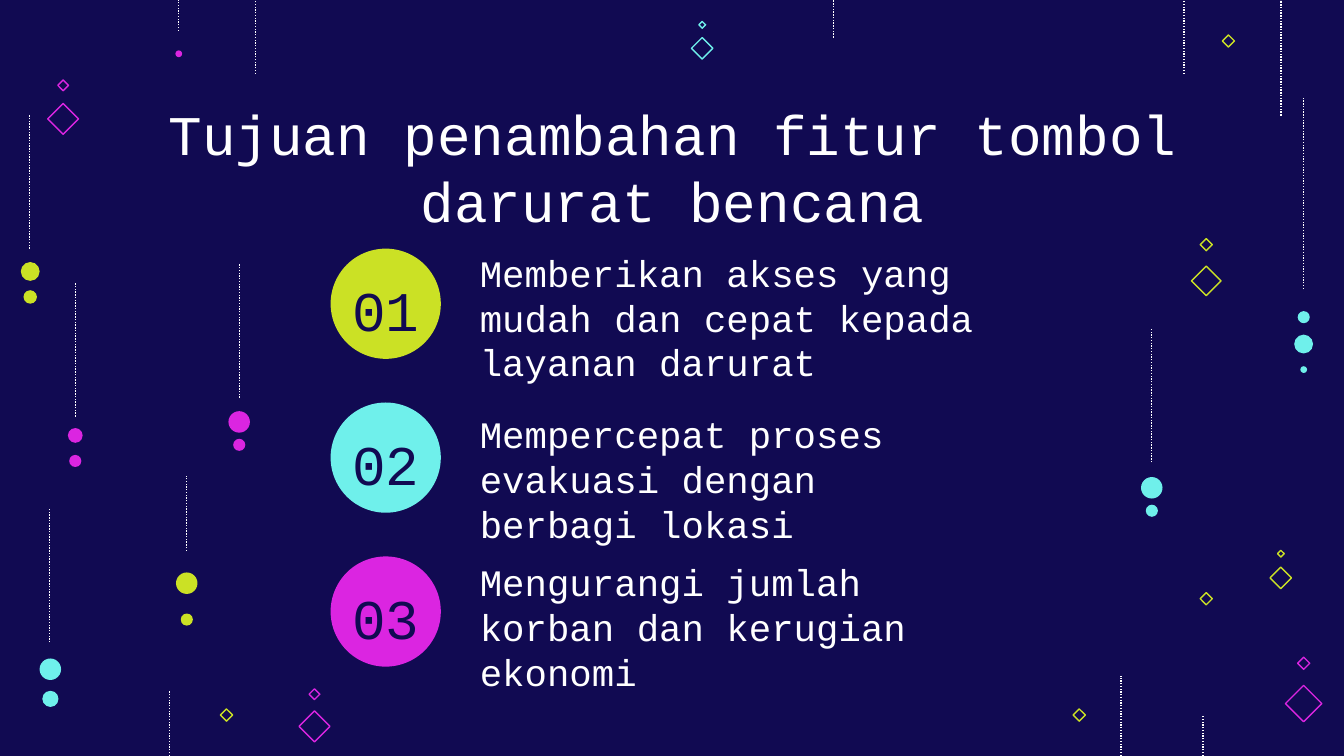
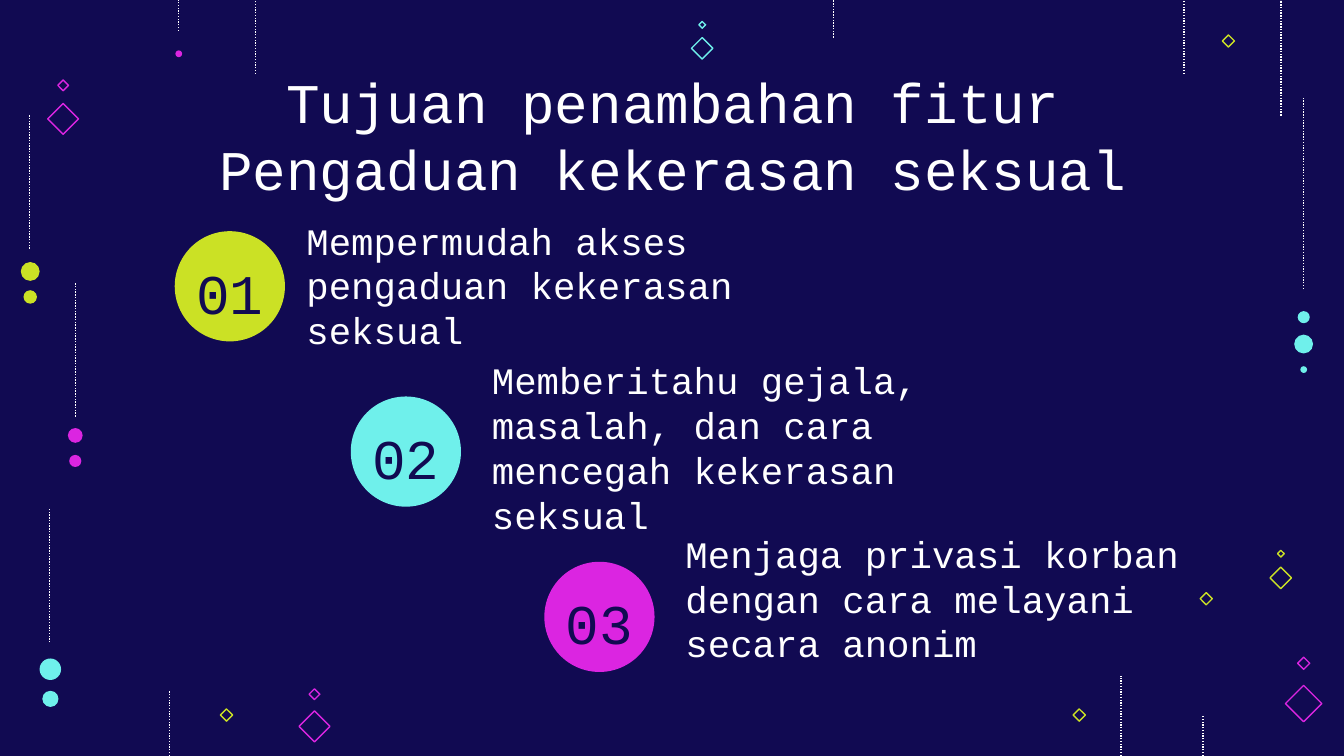
from pptx import Presentation
from pptx import util as u
from pptx.dml import color, line
from pptx.enum import dml, shapes, text
from pptx.oxml.ns import qn

NAVY, WHITE = "110A52", "FFFFFF"
LIME, CYAN, PINK = "CBE125", "6FF0EB", "DB25E1"
FACE = "Courier New"

deck = Presentation()
deck.slide_width = u.Inches(10)
deck.slide_height = u.Inches(5.625)
cell = deck.slide_width / 100
foot = deck.slide_height / cell


def hue(fill, tone):
    fill.solid()
    fill.fore_color.rgb = color.RGBColor.from_string(tone)


def draw(page, rays, dots, gems):
    for x, low, top in rays:
        ray = page.shapes.add_connector(
            shapes.MSO_CONNECTOR.STRAIGHT,
            *[round(n * cell) for n in (x, low, x, top)])
        hue(ray.line.fill, WHITE)
        ray.line.width = u.Pt(0.75)
        ray.line.dash_style = dml.MSO_LINE.ROUND_DOT
        part = ray._element.spPr
        part.append(part.makeelement(qn("a:effectLst"), {}))
    marks = [(shapes.MSO_SHAPE.OVAL, *d) for d in dots]
    marks += [(shapes.MSO_SHAPE.DIAMOND, *g) for g in gems]
    made = []
    for kind, x, y, size, tone in marks:
        mark = page.shapes.add_shape(
            kind, *[round(n * cell) for n in (x - size / 2, y - size / 2, size, size)])
        mark.shadow.inherit = False
        if kind == shapes.MSO_SHAPE.OVAL:
            hue(mark.fill, tone)
            mark.line.fill.background()
        else:
            mark.fill.background()
            hue(mark.line.fill, tone)
            mark.line.width = u.Pt(0.75)
        made.append(mark)
    return made


rays = [
    (97, 21.5, 7.2), (95.3, 8.6, 0), (13.3, 2.3, 0), (3.7, 47.8, 37.8),
    (5.6, 31, 21), (19, 5.5, 0), (2.2, 18.5, 8.5), (12.6, foot, 51.4),
    (89.5, foot, 53.3), (83.4, foot, 50.3), (88.1, 5.5, 0), (62, 2.8, 0),
]
dots = [
    (97, 23.6, 0.9, CYAN), (97, 25.6, 1.4, CYAN), (97, 27.5, 0.5, CYAN),
    (3.75, 49.8, 1.6, CYAN), (3.75, 52, 1.2, CYAN), (13.3, 4, 0.5, PINK),
    (5.6, 32.4, 1.1, PINK), (5.6, 34.3, 0.9, PINK),
    (2.25, 20.2, 1.4, LIME), (2.25, 22.1, 1, LIME),
]
gems = [
    (97, 49.35, 0.9, PINK), (97, 52.35, 2.7, PINK),
    (23.4, 51.65, 0.8, PINK), (23.4, 54.05, 2.3, PINK),
    (4.7, 6.35, 0.8, PINK), (4.7, 8.85, 2.3, PINK),
    (91.4, 3.05, 0.9, LIME), (16.85, 53.2, 0.9, LIME), (80.3, 53.2, 0.9, LIME),
    (95.3, 41.2, 0.5, LIME), (95.3, 43, 1.6, LIME),
    (52.25, 1.85, 0.5, CYAN), (52.25, 3.6, 1.6, CYAN),
]
lone = (89.75, 44.55, 0.9, LIME)

goals = [
    {
        "title": "Tujuan penambahan fitur tombol darurat bencana",
        "top": 6.4,
        "items": [
            ("Memberikan akses yang mudah dan cepat kepada layanan darurat",
             28.7, 22.6, 34.7, 17.6),
            ("Mempercepat proses evakuasi dengan berbagi lokasi",
             28.7, 34.05, 34.7, 29.6),
            ("Mengurangi jumlah korban dan kerugian ekonomi",
             28.7, 45.5, 34.7, 40.6),
        ],
        "rays": [(13.9, 41, 35.4), (17.8, 29.6, 19.6), (85.7, 34.4, 24.4)],
        "dots": [
            (13.9, 43.4, 1.6, LIME), (13.9, 46.1, 0.9, LIME),
            (17.8, 31.4, 1.6, PINK), (17.8, 33.1, 0.9, PINK),
            (85.7, 36.3, 1.6, CYAN), (85.7, 38, 0.9, CYAN),
        ],
        "gems": [(89.75, 18.2, 0.9, LIME), (89.75, 20.9, 2.2, LIME), lone],
    },
    {
        "title": "Tujuan penambahan fitur Pengaduan kekerasan seksual",
        "top": 4,
        "items": [
            ("Mempermudah akses pengaduan kekerasan seksual",
             17.1, 21.3, 21.8, 15.2),
            ("Memberitahu gejala, masalah, dan cara mencegah kekerasan seksual",
             30.2, 33.6, 35.6, 25.6),
            ("Menjaga privasi korban dengan cara melayani secara anonim",
             44.6, 45.9, 50, 38.5),
        ],
        "rays": [], "dots": [], "gems": [lone],
    },
]

plan = deck.slide_layouts.get_by_name("Comparison")
hue(deck.slide_master.background.fill, NAVY)

for page_no, goal in enumerate(goals):
    page = deck.slides.add_slide(plan)
    if page_no == 0:
        draw(page, rays, dots, gems)
        decor = [s for s in page.shapes if not s.is_placeholder]
        for n, shape in enumerate(decor):
            node = shape._element
            node.xpath(".//p:cNvPr")[0].set("id", str(100 + n))
            plan.shapes._spTree.append(node)

    slots = {p.placeholder_format.idx: p for p in page.placeholders}
    spare = slots.pop(4)._element
    spare.getparent().remove(spare)
    left = text.PP_ALIGN.LEFT
    mid = text.PP_ALIGN.CENTER
    words = [(slots[0], goal["title"], (7.9, goal["top"], 84.3, 12), 30, WHITE, mid)]
    tones = (LIME, CYAN, PINK)
    discs = draw(page, goal["rays"], [
        (item[1], item[2], 8.2, tone) for item, tone in zip(goal["items"], tones)
    ] + goal["dots"], goal["gems"])
    for n, (line_text, x, y, col, row) in enumerate(goal["items"]):
        tall = 15.3 if len(line_text) > 60 else 12
        words.append((slots[n + 1], line_text, (col, row, 40, tall), 20, WHITE, left))
        words.append((discs[n], f"0{n + 1}", None, 30, NAVY, mid))

    for shape, label, area, size, tone, side in words:
        frame = shape.text_frame
        frame.text = label
        frame.word_wrap = True
        frame.auto_size = text.MSO_AUTO_SIZE.NONE
        if area:
            shape.left, shape.top, shape.width, shape.height = [
                round(n * cell) for n in area]
            frame.vertical_anchor = text.MSO_ANCHOR.TOP
            gaps = (1, 1, 1, 1)
        else:
            frame.vertical_anchor = text.MSO_ANCHOR.MIDDLE
            gaps = (0, 0.8, 0, 0)
        (frame.margin_left, frame.margin_top,
         frame.margin_right, frame.margin_bottom) = [round(n * cell) for n in gaps]
        para = frame.paragraphs[0]
        rules = para._p.get_or_add_pPr()
        rules.set("marL", "0")
        rules.set("indent", "0")
        rules.append(rules.makeelement(qn("a:buNone"), {}))
        para.alignment = side
        para.line_spacing = u.Pt(size * 1.2)
        para.space_before = u.Pt(0)
        for run in para.runs:
            run.font.name = FACE
            run.font.size = u.Pt(size)
            run.font.bold = False
            hue(run.font.fill, tone)

deck.save("out.pptx")
